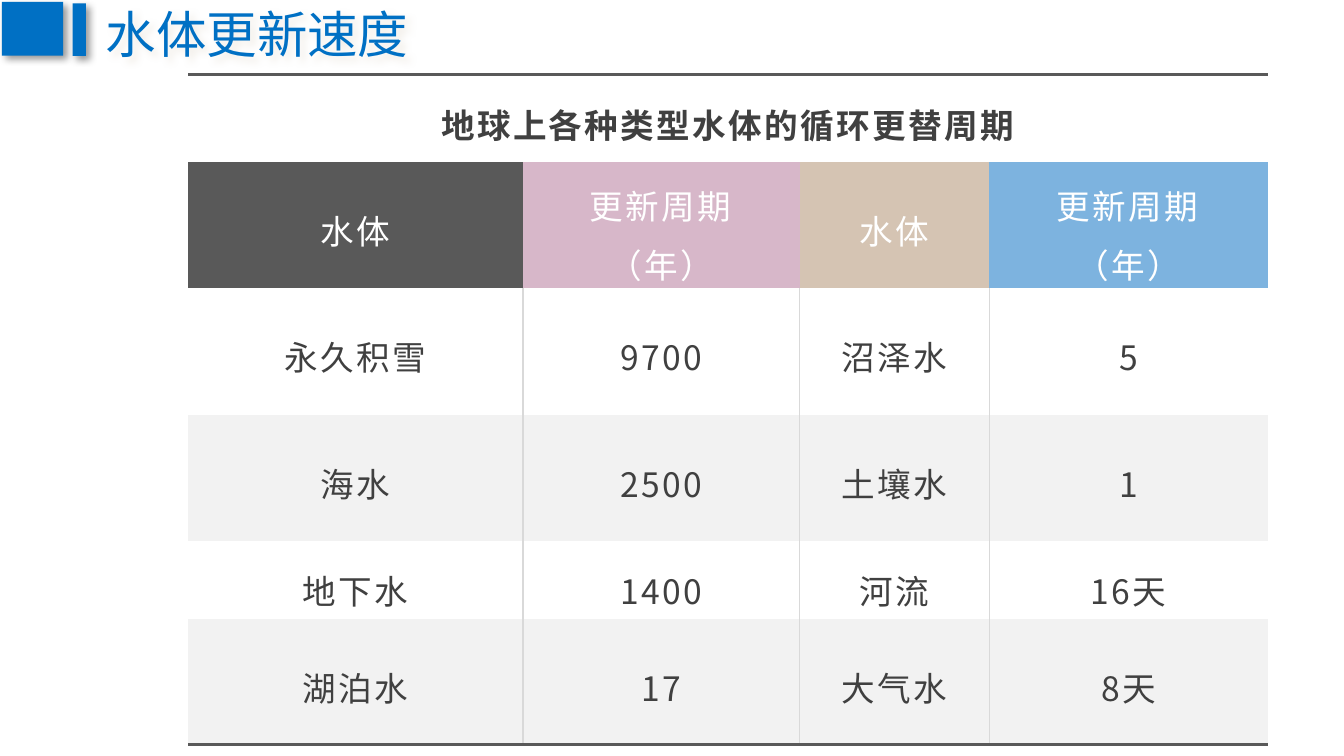
import pptx
import pptx.util
import pptx.dml.color
import pptx.enum.shapes
import pptx.enum.text
import pptx.oxml
import pptx.oxml.ns

EMU_PER_PX = 4572
FONT = "Noto Sans CJK SC"
PLAIN_TABLE = "{2D5ABB26-0587-4C30-8999-92F81FD0307C}"
COLORS = {
    "blue": "0070C4", "dark": "595959", "text": "404040", "white": "FFFFFF",
    "band": "F2F2F2", "rule": "D9D9D9", "pink": "D7B7C9", "sand": "D5C4B3",
    "sky": "7DB3DF", "black": "000000", "glow": "DDD3C4",
}
CAPTION = "地球上各种类型水体的循环更替周期"
HEADERS = ["水体", "更新周期（年）", "水体", "更新周期（年）"]
HEADER_FILLS = ["dark", "pink", "sand", "sky"]
WATER_ROWS = [
    ["永久积雪", "9700", "沼泽水", "5"],
    ["海水", "2500", "土壤水", "1"],
    ["地下水", "1400", "河流", "16天"],
    ["湖泊水", "17", "大气水", "8天"],
]
COLUMN_WIDTHS = [498, 412, 282, 415]
ROW_HEIGHTS = [130, 188, 188, 188, 116, 187]
DIVIDERS = [1, 0.5, 0.5]
MARGINS = (22, 22)
SHORT_MARGINS = (22, 6)
TWO_LINE_MARGINS = (13, 0)


def px(value):
    return pptx.util.Emu(value * EMU_PER_PX)


def rgb(name):
    return pptx.dml.color.RGBColor.from_string(COLORS[name])


def xml(text):
    namespace = pptx.oxml.ns.nsdecls("a")
    return pptx.oxml.parse_xml(text.replace(">", f" {namespace}>", 1))


class SlideBuilder:
    def __init__(self, slide):
        self.slide = slide

    def style(self, paragraph, size, color, bold=False, spacing=0):
        font = paragraph.font
        font.name = FONT
        font.size = pptx.util.Pt(size)
        font.bold = bold
        font.color.rgb = rgb(color)
        properties = paragraph._p.pPr.find(pptx.oxml.ns.qn("a:defRPr"))
        properties.set("spc", str(round(spacing * 100)))
        properties.append(xml(f'<a:ea typeface="{FONT}"></a:ea>'))

    def shadow(self, shape, color):
        shape.shadow.inherit = False
        effects = shape._element.spPr.find(pptx.oxml.ns.qn("a:effectLst"))
        effects.append(xml(
            '<a:outerShdw blurRad="50800" dist="38100" dir="2700000" algn="tl" rotWithShape="0">'
            f'<a:srgbClr val="{COLORS[color]}"><a:alpha val="40000"/></a:srgbClr></a:outerShdw>'))

    def block(self, left, top, width, height):
        shape = self.slide.shapes.add_shape(
            pptx.enum.shapes.MSO_SHAPE.RECTANGLE, px(left), px(top), px(width), px(height))
        shape.fill.solid()
        shape.fill.fore_color.rgb = rgb("blue")
        shape.line.fill.background()
        self.shadow(shape, "black")

    def title(self, text, left, top, width, height):
        shape = self.slide.shapes.add_textbox(px(left), px(top), px(width), px(height))
        shape.text_frame.word_wrap = False
        shape.text_frame.auto_size = pptx.enum.text.MSO_AUTO_SIZE.SHAPE_TO_FIT_TEXT
        shape.text_frame.text = text
        self.style(shape.text_frame.paragraphs[0], 27, "blue")
        self.shadow(shape, "glow")

    def cell(self, cell, text, fill, color="text", bold=False, borders=None, margins=MARGINS):
        cell.margin_left = cell.margin_right = px(36)
        cell.margin_top, cell.margin_bottom = map(px, margins)
        cell.vertical_anchor = pptx.enum.text.MSO_ANCHOR.MIDDLE
        cell.fill.solid()
        cell.fill.fore_color.rgb = rgb(fill)
        cell.text = text
        paragraph = cell.text_frame.paragraphs[0]
        paragraph.alignment = pptx.enum.text.PP_ALIGN.CENTER
        paragraph.line_spacing = 1.2
        self.style(paragraph, 18, color, bold, 1.3)
        borders = borders or {}
        sides = [side for side in "LRTB" if side in borders]
        for index, side in enumerate(sides):
            line_color, width = borders[side]
            cell._tc.tcPr.insert(index, xml(
                f'<a:ln{side} w="{pptx.util.Pt(width)}"><a:solidFill>'
                f'<a:srgbClr val="{COLORS[line_color]}"/></a:solidFill></a:ln{side}>'))

    def water_table(self, left, top):
        frame = self.slide.shapes.add_table(
            len(ROW_HEIGHTS), len(COLUMN_WIDTHS), px(left), px(top),
            px(sum(COLUMN_WIDTHS)), px(sum(ROW_HEIGHTS)))
        table = frame.table
        table.first_row = table.horz_banding = False
        table._tbl.tblPr.find(pptx.oxml.ns.qn("a:tableStyleId")).text = PLAIN_TABLE
        for column, width in zip(table.columns, COLUMN_WIDTHS):
            column.width = px(width)
        for row, height in zip(table.rows, ROW_HEIGHTS):
            row.height = px(height)

        last_column = len(COLUMN_WIDTHS) - 1
        for column, header in enumerate(HEADERS):
            self.cell(table.cell(0, column), "" if column else CAPTION, "white",
                      bold=True, borders={"T": ("dark", 1.5)}, margins=(22, 20))
            self.cell(table.cell(1, column), header, HEADER_FILLS[column], "white",
                      margins=TWO_LINE_MARGINS if len(header) > 2 else MARGINS)
        table.cell(0, 0).merge(table.cell(0, last_column))

        for index, values in enumerate(WATER_ROWS):
            fill = "band" if index % 2 else "white"
            margins = SHORT_MARGINS if ROW_HEIGHTS[index + 2] < 130 else MARGINS
            for column, value in enumerate(values):
                borders = {}
                if column > 0:
                    borders["L"] = ("rule", DIVIDERS[column - 1])
                if column < last_column:
                    borders["R"] = ("rule", DIVIDERS[column])
                if index == len(WATER_ROWS) - 1:
                    borders["B"] = ("dark", 1.5)
                self.cell(table.cell(index + 2, column), value, fill,
                          borders=borders, margins=margins)


def main():
    presentation = pptx.Presentation()
    presentation.slide_width = px(2000)
    presentation.slide_height = px(1125)
    builder = SlideBuilder(presentation.slides.add_slide(presentation.slide_layouts[6]))
    builder.water_table(280, 111)
    builder.title("水体更新速度", 138, -5, 494, 112)
    builder.block(3, 3, 91, 80)
    builder.block(108, 5, 20, 78)
    presentation.save("out.pptx")


if __name__ == "__main__":
    main()
